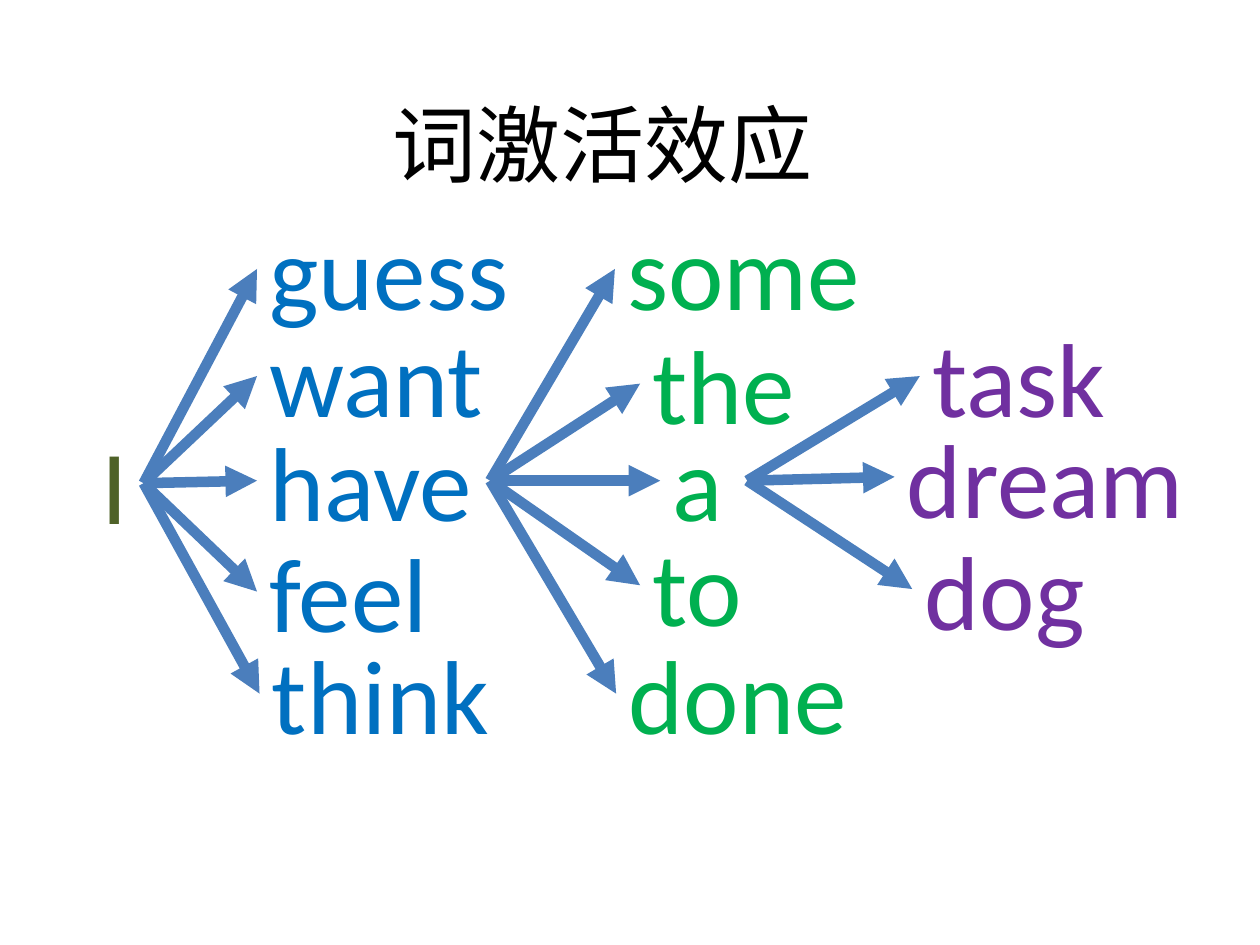
from lxml.etree import SubElement
from pptx import Presentation
from pptx.dml.color import RGBColor
from pptx.enum.shapes import MSO_CONNECTOR
from pptx.enum.text import MSO_ANCHOR, MSO_AUTO_SIZE, PP_ALIGN
from pptx.oxml.ns import qn
from pptx.util import Inches, Pt

COLORS = {
    "title": "000000",
    "pronoun": "4F6228",
    "verb": "0070C0",
    "object": "00B050",
    "noun": "7030A0",
    "arrow": "4B7EBC",
}
RIGHT_SIDE, LEFT_SIDE = 3, 1

WORD_COLUMNS = [
    ("pronoun", [("I", 0.71, 3.28, 0.43)]),
    ("verb", [
        ("guess", 2.04, 1.58, 2.74),
        ("want", 2.04, 2.43, 2.28),
        ("have", 2.04, 3.26, 1.85),
        ("feel", 2.04, 4.14, 2.28),
        ("think", 2.06, 4.95, 2.28),
    ]),
    ("object", [
        ("some", 4.88, 1.58, 2.49),
        ("the", 5.08, 2.49, 1.63),
        ("a", 5.24, 3.26, 0.69),
        ("to", 5.08, 4.09, 1.08),
        ("done", 4.89, 4.95, 2.49),
    ]),
    ("noun", [
        ("task", 7.3, 2.43, 2.07),
        ("dream", 7.1, 3.23, 2.46),
        ("dog", 7.24, 4.12, 1.81),
    ]),
]
ACTIVATING_WORDS = ["I", "have", "a"]


class WordSlide:
    font = "Calibri"
    title_size = 48
    word_size = 60
    word_height = 1.11
    arrow_width = 6

    def __init__(self, presentation):
        self.slide = presentation.slides.add_slide(presentation.slide_layouts[5])

    def add_text(self, paragraph, text, size, color):
        run = paragraph.add_run()
        run.text = text
        run.font.name = self.font
        run.font.size = Pt(size)
        run.font.color.rgb = RGBColor.from_string(COLORS[color])

    def title(self, text, left, top, width, height):
        shape = self.slide.shapes.title
        shape.left, shape.top = Inches(left), Inches(top)
        shape.width, shape.height = Inches(width), Inches(height)
        shape.text_frame.vertical_anchor = MSO_ANCHOR.MIDDLE
        paragraph = shape.text_frame.paragraphs[0]
        paragraph.alignment = PP_ALIGN.CENTER
        self.add_text(paragraph, text, self.title_size, "title")

    def word(self, text, left, top, width, color):
        shape = self.slide.shapes.add_textbox(
            Inches(left), Inches(top), Inches(width), Inches(self.word_height)
        )
        shape.text_frame.word_wrap = True
        shape.text_frame.auto_size = MSO_AUTO_SIZE.SHAPE_TO_FIT_TEXT
        self.add_text(shape.text_frame.paragraphs[0], text, self.word_size, color)
        return shape

    def arrow(self, source, target):
        connector = self.slide.shapes.add_connector(MSO_CONNECTOR.STRAIGHT, 0, 0, 0, 0)
        connector.begin_connect(source, RIGHT_SIDE)
        connector.end_connect(target, LEFT_SIDE)
        connector.line.color.rgb = RGBColor.from_string(COLORS["arrow"])
        connector.line.width = Pt(self.arrow_width)
        properties = connector._element.spPr
        SubElement(properties.find(qn("a:ln")), qn("a:tailEnd"), type="triangle")
        SubElement(properties, qn("a:effectLst"))


def main():
    presentation = Presentation()
    presentation.slide_width = Inches(10)
    presentation.slide_height = Inches(7.5)
    page = WordSlide(presentation)
    page.title("词激活效应", 1.04, 0.68, 7.48, 0.91)

    columns = [
        {text: page.word(text, left, top, width, color)
         for text, left, top, width in words}
        for color, words in WORD_COLUMNS
    ]
    for activating, column, following in zip(ACTIVATING_WORDS, columns, columns[1:]):
        for target in following.values():
            page.arrow(column[activating], target)

    presentation.save("out.pptx")


if __name__ == "__main__":
    main()
